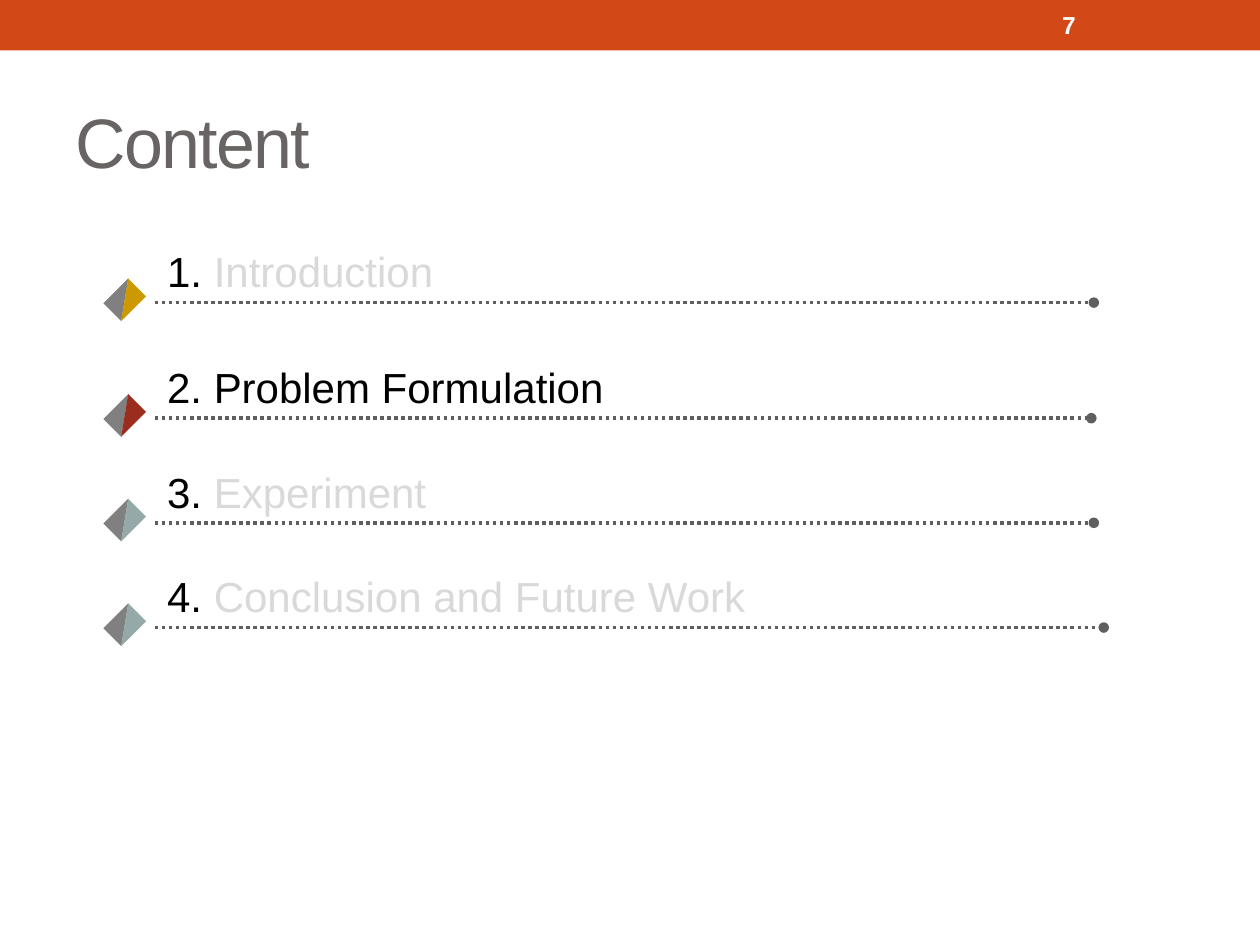
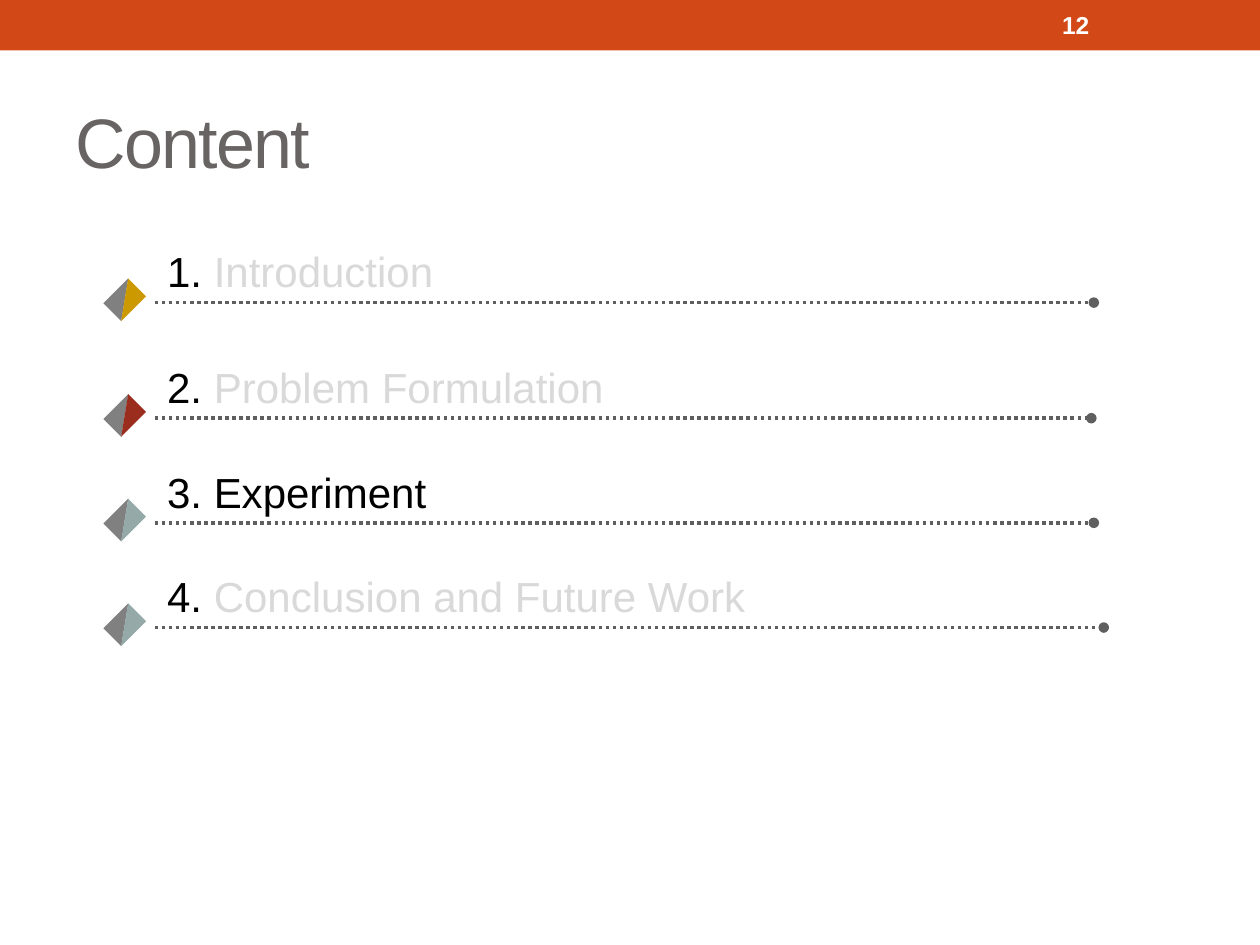
from lxml import etree
from pptx import Presentation
from pptx.dml.color import RGBColor
from pptx.enum.dml import MSO_LINE
from pptx.enum.shapes import MSO_CONNECTOR, MSO_SHAPE
from pptx.enum.text import MSO_ANCHOR, MSO_AUTO_SIZE, PP_ALIGN
from pptx.oxml.ns import qn
from pptx.util import Cm, Pt

RECT = MSO_SHAPE.RECTANGLE
TRIANGLE = MSO_SHAPE.RIGHT_TRIANGLE
STRAIGHT = MSO_CONNECTOR.STRAIGHT
DOTTED = MSO_LINE.ROUND_DOT
MIDDLE = MSO_ANCHOR.MIDDLE
NO_FIT = MSO_AUTO_SIZE.NONE
FIT_SHAPE = MSO_AUTO_SIZE.SHAPE_TO_FIT_TEXT
LEFT = PP_ALIGN.LEFT

FONT = "Arial"
ORANGE = "D34817"
TITLE_GREY = "696464"
LINE_GREY = "5F5F5F"
MARK_GREY = "808080"
FADED = "D9D9D9"
BLACK = "000000"
WHITE = "FFFFFF"

# heading, marker colour, line y, line end x, text width (cm)
SECTIONS = [
    ("Introduction", "CC9900", 6.1, 22.05, 17.65),
    ("Problem Formulation", "9B2D1F", 8.43, 22.0, 19.35),
    ("Experiment", "96A9A9", 10.54, 22.05, 19.15),
    ("Conclusion and Future Work", "96A9A9", 12.65, 22.25, 19.35),
]
LINE_LEFT = 3.12


def rgb(color):
    return RGBColor.from_string(color)


def box(*lengths):
    """Turn centimetre values into lengths."""
    return [Cm(v) for v in lengths]


def add_run(p, text, size=24, color=BLACK, bold=False, spacing=None):
    r = p.add_run()
    r.text = text
    r.font.name = FONT
    r.font.size = Pt(size)
    r.font.bold = bold
    r.font.color.rgb = rgb(color)
    if spacing is not None:
        r.font._element.set("spc", str(spacing * 100))


class Deck:
    def __init__(self):
        self.prs = Presentation()
        self.prs.slide_width, self.prs.slide_height = box(25.4, 19.05)
        self.layout = self.prs.slide_layouts.get_by_name("Title Only")
        self.s = None

    def add_slide(self, title, number):
        first = self.s is None
        self.s = self.prs.slides.add_slide(self.layout)
        if first:
            self.add_layout_band()
        self.set_title(title)
        self.add_number(number)

    def add_layout_band(self):
        """Draw the top band and move it to the layout, so all slides share it."""
        band = self.shape(self.s.shapes, RECT, box(0, 0, 25.4, 1.02), ORANGE)
        self.layout.shapes.element.append(band.element)

    def set_title(self, text):
        sp = self.s.shapes.title
        sp.left, sp.top, sp.width, sp.height = box(1.27, 1.47, 22.86, 2.74)
        tf = sp.text_frame
        tf.vertical_anchor = MIDDLE
        tf.auto_size = NO_FIT
        p = tf.paragraphs[0]
        p.alignment = LEFT
        add_run(p, text, size=40, color=TITLE_GREY, spacing=-1)

    def add_number(self, number):
        tf = self.text_box(self.s.shapes, box(21.16, 0.05, 2.97, 0.91))
        tf.vertical_anchor = MIDDLE
        add_run(tf.paragraphs[0], str(number), size=14, color=WHITE, bold=True)

    def text_box(self, shapes, place):
        tf = shapes.add_textbox(*place).text_frame
        tf.word_wrap = True
        return tf

    def shape(self, shapes, kind, place, color, rotation=0, flip=False):
        sp = shapes.add_shape(kind, *place)
        sp.shadow.inherit = False
        sp.fill.solid()
        sp.fill.fore_color.rgb = rgb(color)
        sp.line.fill.background()
        sp.rotation = rotation
        if flip:
            sp.element.spPr.find(qn("a:xfrm")).set("flipH", "1")
        return sp

    def dotted_line(self, shapes, x1, x2, y):
        """Draw a level dotted line that ends in a round dot."""
        line = shapes.add_connector(STRAIGHT, *box(x1, y, x2, y))
        line.line.color.rgb = rgb(LINE_GREY)
        line.line.width = Pt(2)
        line.line.dash_style = DOTTED
        props = line.element.spPr
        etree.SubElement(props.find(qn("a:ln")), qn("a:tailEnd"), type="oval")
        etree.SubElement(props, qn("a:effectLst"))

    def marker(self, shapes, y, color):
        """Draw the two-tone diamond beside a line at height y."""
        self.shape(shapes, TRIANGLE, box(2.26, y - 0.41, 0.51, 0.71), MARK_GREY, 45)
        self.shape(shapes, TRIANGLE, box(2.16, y - 0.31, 0.71, 0.51), color, 315, True)

    def section(self, number, heading, color, y, line_end, width, active):
        shapes = self.s.shapes.add_group_shape().shapes
        self.dotted_line(shapes, LINE_LEFT, line_end, y)
        self.marker(shapes, y, color)
        tf = self.text_box(shapes, box(LINE_LEFT, y - 1.27, width, 1.3))
        tf.auto_size = FIT_SHAPE
        p = tf.paragraphs[0]
        if active:
            add_run(p, f"{number}. {heading}")
        else:
            add_run(p, f"{number}. ")
            add_run(p, heading, color=FADED)

    def content_slide(self, page, current):
        """Add the contents list with only the current section in black."""
        self.add_slide("Content", page)
        for number, details in enumerate(SECTIONS, 1):
            self.section(number, *details, active=number == current)


def main():
    deck = Deck()
    deck.content_slide(page=7, current=2)
    deck.content_slide(page=12, current=3)
    deck.prs.save("out.pptx")


if __name__ == "__main__":
    main()
